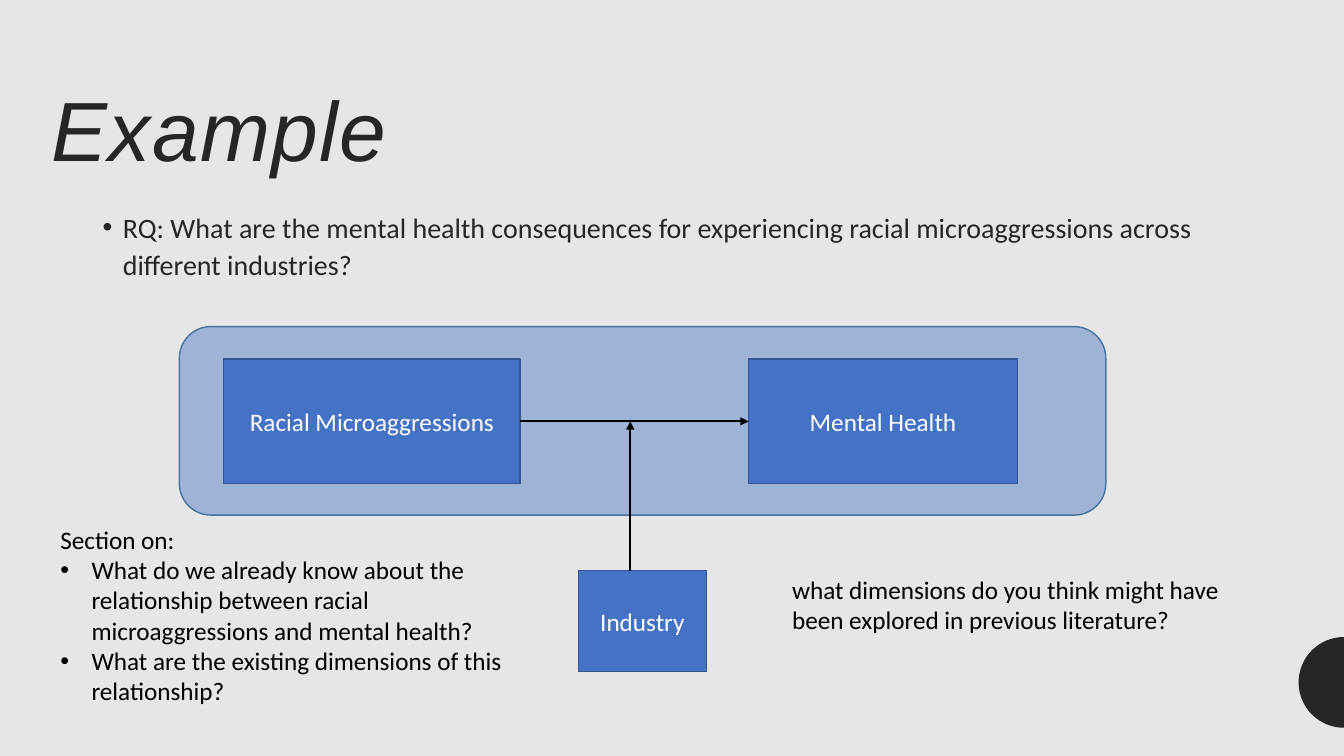
import math
from dataclasses import dataclass

import pptx
import pptx.util
import pptx.dml.color
import pptx.enum.shapes
import pptx.enum.text
import pptx.oxml.ns
from lxml import etree


@dataclass(frozen=True)
class Theme:
    """Colours, fonts and type sizes of the slide."""
    background: str = "E7E6E6"
    ink: str = "262626"
    black: str = "000000"
    white: str = "FFFFFF"
    box: str = "4472C4"
    box_edge: str = "325491"
    panel_edge: str = "43739E"
    heading_font: str = "Arial"
    body_font: str = "Calibri"
    title: int = 60
    question: int = 20
    body: int = 18


THEME = Theme()
WIDTH = pptx.util.Inches(13.333)
HEIGHT = pptx.util.Inches(7.5)
SHAPE = pptx.enum.shapes.MSO_SHAPE
ALIGN = pptx.enum.text.PP_ALIGN
ANCHOR = pptx.enum.text.MSO_ANCHOR


def across(percent):
    """Turn a share of the slide's width into a length."""
    return round(WIDTH * percent / 100)


def down(percent):
    """Turn a share of the slide's height into a length."""
    return round(HEIGHT * percent / 100)


def place(left, top, width, height):
    """Turn four shares of the slide into a position and size."""
    return across(left), down(top), across(width), down(height)


def rgb(code):
    """Read a hexadecimal colour."""
    return pptx.dml.color.RGBColor.from_string(code)


def add_child(parent, tag, **attributes):
    """Append a drawing element to an XML parent."""
    return etree.SubElement(parent, pptx.oxml.ns.qn(tag), attributes)


def set_font(paragraph, size, color, name=THEME.body_font):
    """Set the font of a whole paragraph."""
    font = paragraph.font
    font.size, font.name = pptx.util.Pt(size), name
    font.color.rgb = rgb(color)


def set_bullet(paragraph, indent):
    """Give a paragraph a hanging round bullet."""
    properties = paragraph._p.get_or_add_pPr()
    hang = pptx.util.Inches(indent)
    properties.set("marL", str(hang))
    properties.set("indent", str(-hang))
    add_child(properties, "a:buFont", typeface="Arial")
    add_child(properties, "a:buChar", char="•")


def add_text(slide, area, lines, size, color, bullet_from=None, indent=0.31,
             font=THEME.body_font):
    """Add a wrapped text box, with bullets from a given line on."""
    frame = slide.shapes.add_textbox(*place(*area)).text_frame
    frame.word_wrap = True
    for index, line in enumerate(lines):
        paragraph = frame.add_paragraph() if index else frame.paragraphs[0]
        paragraph.text = line
        if bullet_from is not None and index >= bullet_from:
            set_bullet(paragraph, indent)
        set_font(paragraph, size, color, font)
    return frame


def add_title(slide, area, wording):
    """Add the slanted heading."""
    heading = add_text(slide, area, [wording], THEME.title, THEME.ink,
                       font=THEME.heading_font).paragraphs[0]
    heading.line_spacing = 0.9
    heading.font.italic = True
    heading.runs[0]._r.get_or_add_rPr().set("spc", "100")


def add_block(slide, kind, area, edge, wording=""):
    """Add a filled shape with an outline and a centred label."""
    block = slide.shapes.add_shape(kind, *place(*area))
    block.shadow.inherit = False
    block.fill.solid()
    block.fill.fore_color.rgb = rgb(THEME.box)
    block.line.color.rgb = rgb(edge)
    block.line.width = pptx.util.Pt(1)
    if wording:
        block.text_frame.vertical_anchor = ANCHOR.MIDDLE
        label = block.text_frame.paragraphs[0]
        label.text, label.alignment = wording, ALIGN.CENTER
        set_font(label, THEME.body, THEME.white)
    return block


def add_panel(slide, area):
    """Add the translucent rounded panel behind the main relationship."""
    panel = add_block(slide, SHAPE.ROUNDED_RECTANGLE, area, THEME.panel_edge)
    color = panel.fill._xPr.find(".//" + pptx.oxml.ns.qn("a:srgbClr"))
    add_child(color, "a:alpha", val="44000")


def add_arrow(slide, start, end):
    """Add a straight black arrow between two points."""
    arrow = slide.shapes.add_connector(
        pptx.enum.shapes.MSO_CONNECTOR.STRAIGHT,
        across(start[0]), down(start[1]), across(end[0]), down(end[1]))
    arrow.line.color.rgb = rgb(THEME.black)
    arrow.line.width = pptx.util.Pt(1.5)
    add_child(arrow.line._get_or_add_ln(), "a:tailEnd", type="triangle")
    add_child(arrow._element.spPr, "a:effectLst")
    return arrow


def add_edge_disc(slide, middle, radius, steps=48):
    """Add a half disc cut off by the slide's right edge."""
    center, reach = down(middle), down(radius)
    angles = [math.pi * (0.5 + step / steps) for step in range(steps + 1)]
    points = [(round(WIDTH + reach * math.cos(angle)),
               round(center - reach * math.sin(angle))) for angle in angles]
    builder = slide.shapes.build_freeform(*points[0])
    builder.add_line_segments(points[1:], close=True)
    disc = builder.convert_to_shape()
    disc.shadow.inherit = False
    disc.fill.solid()
    disc.fill.fore_color.rgb = rgb(THEME.ink)
    disc.line.fill.background()


def main():
    """Build the slide and save it."""
    deck = pptx.Presentation()
    deck.slide_width, deck.slide_height = WIDTH, HEIGHT
    slide = deck.slides.add_slide(deck.slide_layouts[6])
    slide.background.fill.solid()
    slide.background.fill.fore_color.rgb = rgb(THEME.background)

    add_edge_disc(slide, 90.27, 6)
    add_panel(slide, (13.35, 43.2, 68.93, 24.93))
    add_title(slide, (3.1, 11.1, 37.9, 22.4), "Example")
    question = add_text(
        slide, (6.9, 26.7, 86.25, 63.5),
        ["RQ: What are the mental health consequences for experiencing racial "
         "microaggressions across different industries?"],
        THEME.question, THEME.ink, bullet_from=0, indent=0.2).paragraphs[0]
    question.line_spacing = 1.1

    row_top, row_height = 47.47, 16.53
    row_middle = row_top + row_height / 2
    cause = add_block(slide, SHAPE.RECTANGLE, (16.65, row_top, 22.05, row_height),
                      THEME.box_edge, "Racial Microaggressions")
    outcome = add_block(slide, SHAPE.RECTANGLE, (55.7, row_top, 20, row_height),
                        THEME.box_edge, "Mental Health")
    effect = add_arrow(slide, (38.7, row_middle), (55.7, row_middle))
    effect.begin_connect(cause, 3)
    effect.end_connect(outcome, 1)

    industry_top = 75.5
    add_block(slide, SHAPE.RECTANGLE, (43.05, industry_top, 9.5, 13.3),
              THEME.box_edge, "Industry")
    add_arrow(slide, (46.9, industry_top), (46.9, row_middle))

    add_text(slide, (3.75, 68.7, 34.95, 29.6),
             ["Section on:",
              "What do we already know about the relationship between racial "
              "microaggressions and mental health?",
              "What are the existing dimensions of this relationship?"],
             THEME.body, THEME.black, bullet_from=1)
    add_text(slide, (58.2, 75.3, 34.95, 13.5),
             ["what dimensions do you think might have been explored in "
              "previous literature?"], THEME.body, THEME.black)
    deck.save("out.pptx")


if __name__ == "__main__":
    main()
